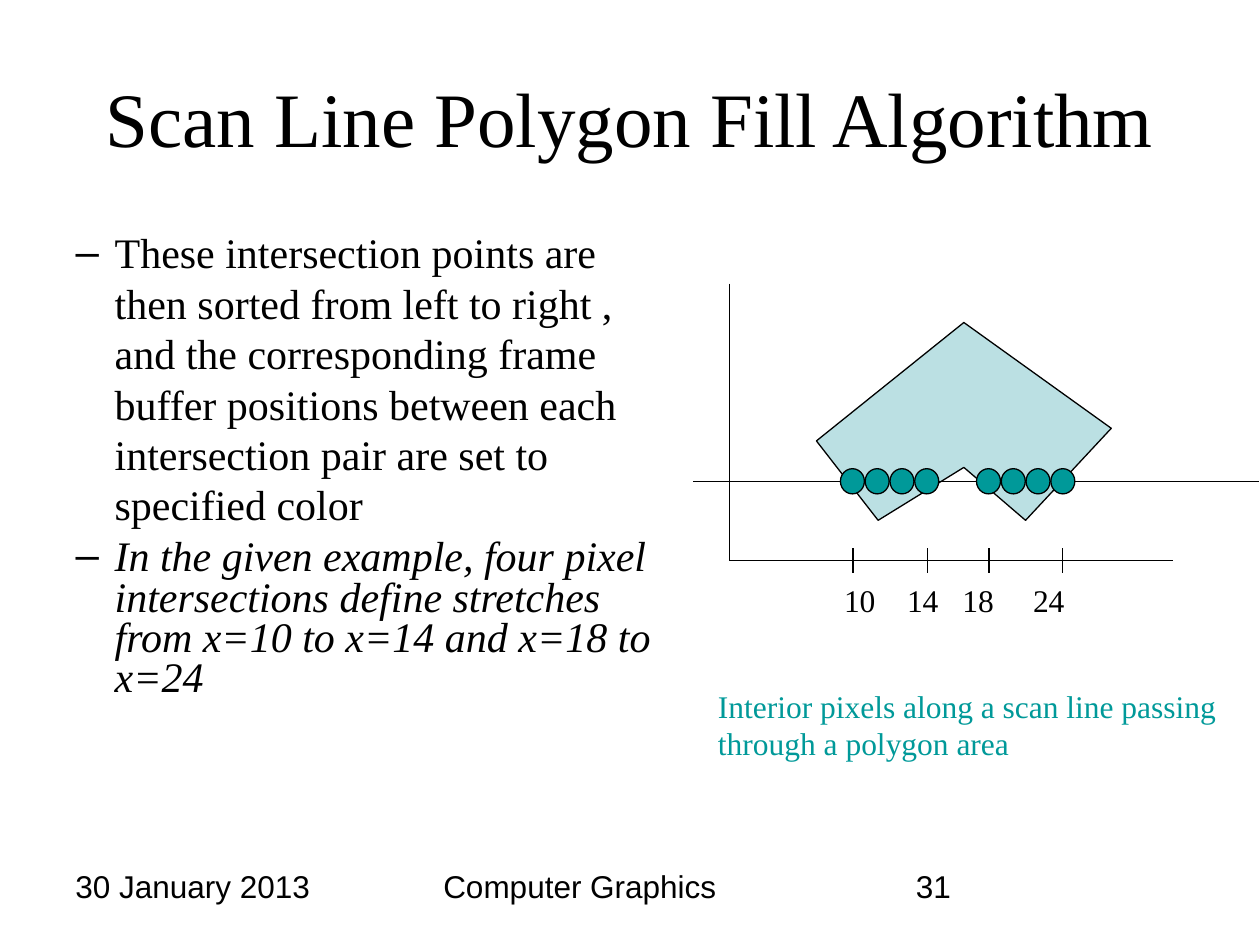
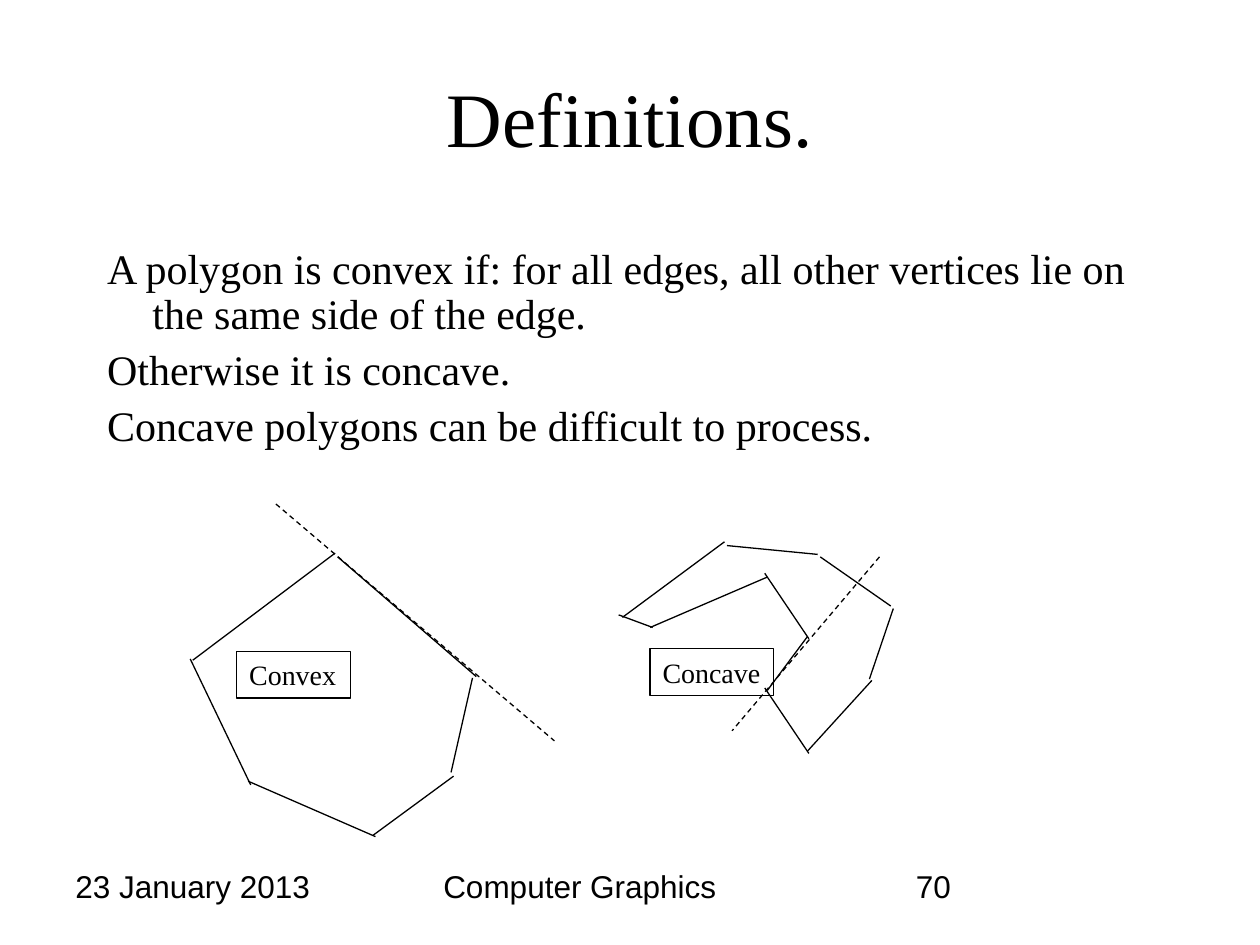
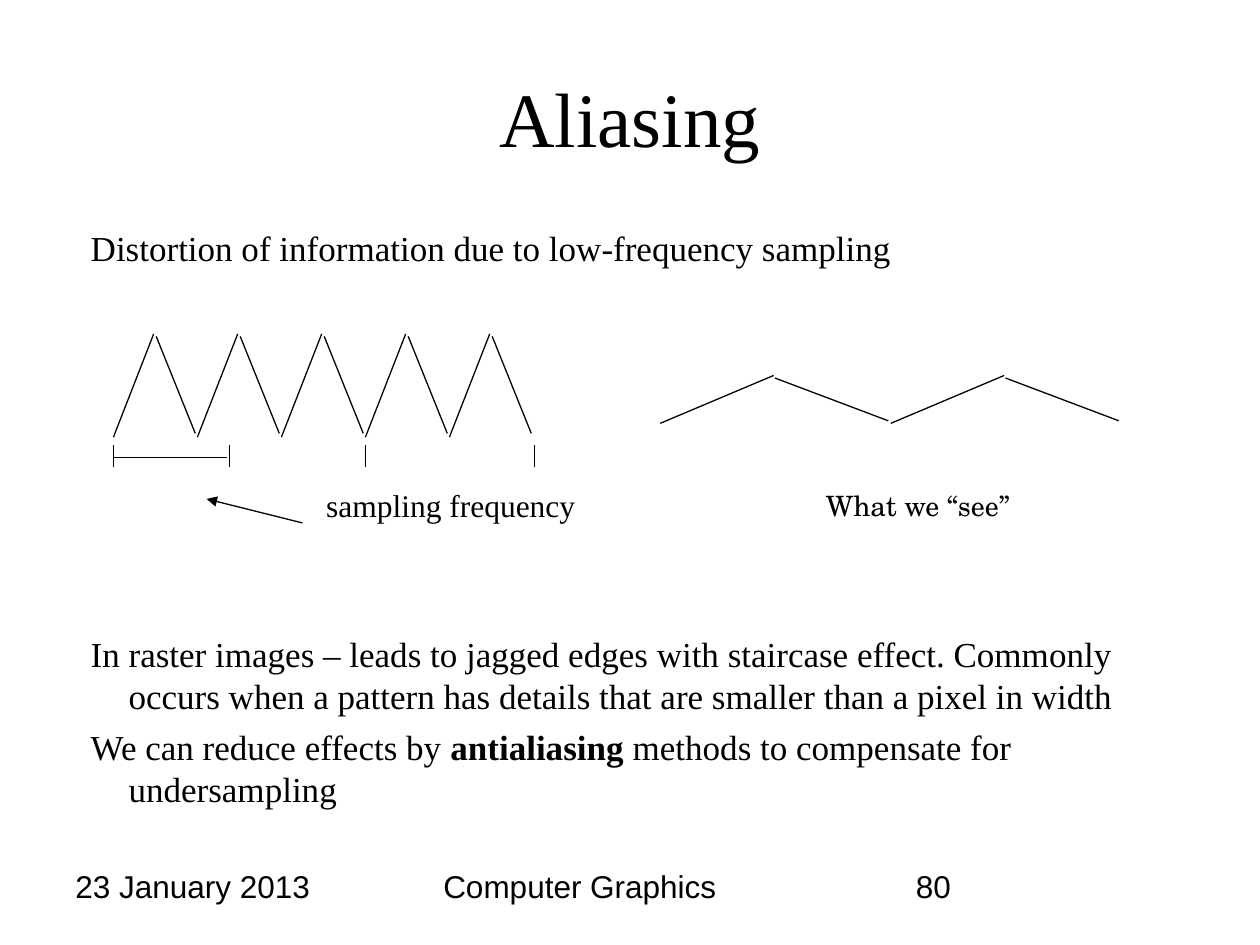
from lxml import etree
from pptx import Presentation
from pptx.dml.color import RGBColor
from pptx.enum.dml import MSO_LINE
from pptx.enum.shapes import MSO_CONNECTOR, MSO_SHAPE
from pptx.enum.text import MSO_ANCHOR, MSO_AUTO_SIZE, PP_ALIGN
from pptx.oxml.ns import qn
from pptx.util import Inches, Pt

STRAIGHT = MSO_CONNECTOR.STRAIGHT
DOT = MSO_SHAPE.FLOWCHART_CONNECTOR
DASH = MSO_LINE.DASH
MIDDLE = MSO_ANCHOR.MIDDLE
NO_FIT, GROW = MSO_AUTO_SIZE.NONE, MSO_AUTO_SIZE.SHAPE_TO_FIT_TEXT
LEFT, CENTER = PP_ALIGN.LEFT, PP_ALIGN.CENTER
rgb = RGBColor.from_string
BLACK, TEAL, PALE = "000000", "009999", "BBE0E3"
SERIF, SANS, SCHOLA = "Times New Roman", "Arial", "TeX Gyre Schola"


def add_text(s, x, y, w, h, text, size=18, font=SERIF, color=BLACK, align=LEFT):
    box = s.shapes.add_textbox(Inches(x), Inches(y), Inches(w), Inches(h))
    tf = box.text_frame
    tf.word_wrap = True
    p = tf.paragraphs[0]
    p.text = text
    p.alignment = align
    f = p.runs[0].font
    f.size, f.name, f.color.rgb = Pt(size), font, rgb(color)
    return box


def add_line(s, x1, y1, x2, y2):
    ln = s.shapes.add_connector(STRAIGHT, Inches(x1), Inches(y1), Inches(x2), Inches(y2))
    ln.line.color.rgb = rgb(BLACK)
    ln.line.width = Pt(0.75)
    etree.SubElement(ln._element.spPr, qn("a:effectLst"))
    return ln


SLIDES = [
    ("Scan Line Polygon Fill Algorithm", "30 January 2013", "31",
     (0.5, 1.75, 4.92, 4.47), 24, 0.31, -0.31, "–",
     [("These intersection points are then sorted from left to right , and the corresponding "
       "frame buffer positions between each intersection pair are set to specified color", 0, 1.0),
      ("In the given example, four pixel intersections define stretches from x=10 to x=14 "
       "and x=18 to x=24", 6, 0.8)]),
    ("Definitions.", "23 January 2013", "70",
     (0.75, 1.92, 8.5, 1.91), 24, 0.36, -0.36, None,
     [("A polygon is convex if: for all edges, all other vertices lie on the same side "
       "of the edge.", 0, 0.9),
      ("Otherwise it is concave.", 6, 0.9),
      ("Concave polygons can be difficult to process.", 6, 0.9)]),
    ("Aliasing", "23 January 2013", "80",
     (0.5, 1.75, 9, 4.95), 20, 0.42, -0.3, None,
     [("Distortion of information due to low-frequency sampling", 0, 1.0),
      ("In raster images – leads to jagged edges with staircase effect. Commonly occurs when "
       "a pattern has details that are smaller than a pixel in width", 208, 1.0),
      ("We can reduce effects by **antialiasing** methods to compensate for undersampling",
       5, 1.0)]),
]

prs = Presentation()
prs.slide_width, prs.slide_height = Inches(10), Inches(7.5)

for title, date, number, body_box, size, margin, indent, bullet, paragraphs in SLIDES:
    s = prs.slides.add_slide(prs.slide_layouts[1])
    body = s.placeholders[1]
    for sp, box in ((s.shapes.title, (0.5, 0.3, 9, 1.25)), (body, body_box)):
        sp.left, sp.top, sp.width, sp.height = [Inches(v) for v in box]
        sp.text_frame.auto_size = NO_FIT
    tf = s.shapes.title.text_frame
    tf.text = title
    tf.vertical_anchor = MIDDLE
    tf.paragraphs[0].alignment = CENTER
    f = tf.paragraphs[0].runs[0].font
    f.size, f.name, f.color.rgb = Pt(44), SERIF, rgb(BLACK)

    tf = body.text_frame
    for i, (text, before, spacing) in enumerate(paragraphs):
        p = tf.add_paragraph() if i else tf.paragraphs[0]
        pPr = p._p.get_or_add_pPr()
        pPr.set("marL", str(Inches(margin)))
        pPr.set("indent", str(Inches(indent)))
        if bullet:
            etree.SubElement(pPr, qn("a:buChar")).set("char", bullet)
        else:
            etree.SubElement(pPr, qn("a:buNone"))
        p.space_before, p.line_spacing = Pt(before), spacing
        for j, part in enumerate(text.split("**")):
            r = p.add_run()
            r.text = part
            r.font.size, r.font.name, r.font.color.rgb = Pt(size), SERIF, rgb(BLACK)
            r.font.bold = j % 2 == 1

    for x, w, text in ((0.5, 2.33, date), (3.42, 3.16, "Computer Graphics"), (7.17, 2.33, number)):
        add_text(s, x, 6.83, w, 0.51, text, font=SANS)

scan, definitions, aliasing = prs.slides

s = scan
s.placeholders[1].text_frame.paragraphs[1].runs[0].font.italic = True
add_text(s, 5.6, 5.4, 4.3, 0.7,
         "Interior pixels along a scan line passing through a polygon area", color=TEAL)
vertices = [(6.48, 3.5), (7.65, 2.56), (8.82, 3.4), (8.14, 4.13), (7.65, 3.71), (6.97, 4.13)]
fb = s.shapes.build_freeform(Inches(vertices[0][0]), Inches(vertices[0][1]))
fb.add_line_segments([(Inches(x), Inches(y)) for x, y in vertices[1:]], close=True)
polygon = fb.convert_to_shape()
for axis in ((5.79, 2.25, 5.79, 4.45), (5.79, 4.45, 9.31, 4.45), (5.5, 3.82, 9.99, 3.82)):
    add_line(s, *axis)
pixels = [s.shapes.add_shape(DOT, Inches(start + 0.59 * i / 3), Inches(3.72), Inches(0.19), Inches(0.2))
          for start in (6.67, 7.75) for i in range(4)]
for sp, color in [(polygon, PALE)] + [(pixel, TEAL) for pixel in pixels]:
    sp.shadow.inherit = False
    sp.fill.solid()
    sp.fill.fore_color.rgb = rgb(color)
    sp.line.color.rgb = rgb(BLACK)
    sp.line.width = Pt(0.75)
for x in (6.77, 7.36, 7.85, 8.43):
    add_line(s, x, 4.35, x, 4.55)
labels = add_text(s, 6.03, 4.56, 3.61, 0.4, "\t10\t14\t18\t24")
tabs = etree.SubElement(labels.text_frame.paragraphs[0]._p.get_or_add_pPr(), qn("a:tabLst"))
for stop in (0.57, 1.07, 1.51, 2.07):
    tab = etree.SubElement(tabs, qn("a:tab"))
    tab.set("pos", str(Inches(stop)))
    tab.set("algn", "l")

s = definitions
concave = [(4.94, 4.9, 5.75, 4.3), (5.77, 4.33, 6.49, 4.4), (6.51, 4.42, 7.07, 4.81),
           (7.09, 4.83, 6.9, 5.39), (6.92, 5.4, 6.41, 5.96), (6.42, 5.98, 6.07, 5.46),
           (6.09, 5.48, 6.41, 5.05), (6.42, 5.07, 6.07, 4.55), (6.09, 4.58, 5.16, 4.98),
           (5.18, 4.98, 4.91, 4.88)]
convex = [(1.53, 5.24, 2.66, 4.39), (2.68, 4.42, 3.78, 5.37), (3.75, 5.38, 3.58, 6.13),
          (3.6, 6.16, 2.96, 6.63), (2.98, 6.64, 1.97, 6.2), (1.99, 6.23, 1.51, 5.23)]
for edge in concave + convex:
    add_line(s, *edge)
for x, y, w, text in ((5.16, 5.15, 0.98, "Concave"), (1.88, 5.17, 0.9, "Convex")):
    box = add_text(s, x, y, w, 0.37, text, size=16)
    box.text_frame.word_wrap = False
    box.text_frame.auto_size = GROW
    box.line.color.rgb = rgb(BLACK)
    box.line.width = Pt(0.75)
for extension in ((2.19, 4, 4.4, 5.88), (6.98, 4.42, 5.81, 5.8)):
    add_line(s, *extension).line.dash_style = DASH

s = aliasing
for i in range(5):
    x = 0.9 + i * 2 / 3
    add_line(s, x, 3.47, x + 0.32, 2.65)
    add_line(s, x + 0.34, 2.67, x + 0.65, 3.44)
for x in (5.24, 7.07):
    add_line(s, x, 3.36, x + 0.9, 2.98)
    add_line(s, x + 0.91, 3, x + 1.81, 3.34)
add_line(s, 0.9, 3.63, 1.8, 3.63)
for x in (0.9, 1.82, 2.9, 4.24):
    add_line(s, x, 3.71, x, 3.53)
add_text(s, 2.49, 3.81, 3.31, 0.4, "sampling frequency")
arrow = add_line(s, 2.4, 4.15, 1.64, 3.96)
etree.SubElement(arrow.line._get_or_add_ln(), qn("a:tailEnd")).set("type", "triangle")
add_text(s, 5.63, 3.83, 3.31, 0.37, "What we “see”", size=16, font=SCHOLA, align=CENTER)

prs.save("out.pptx")
